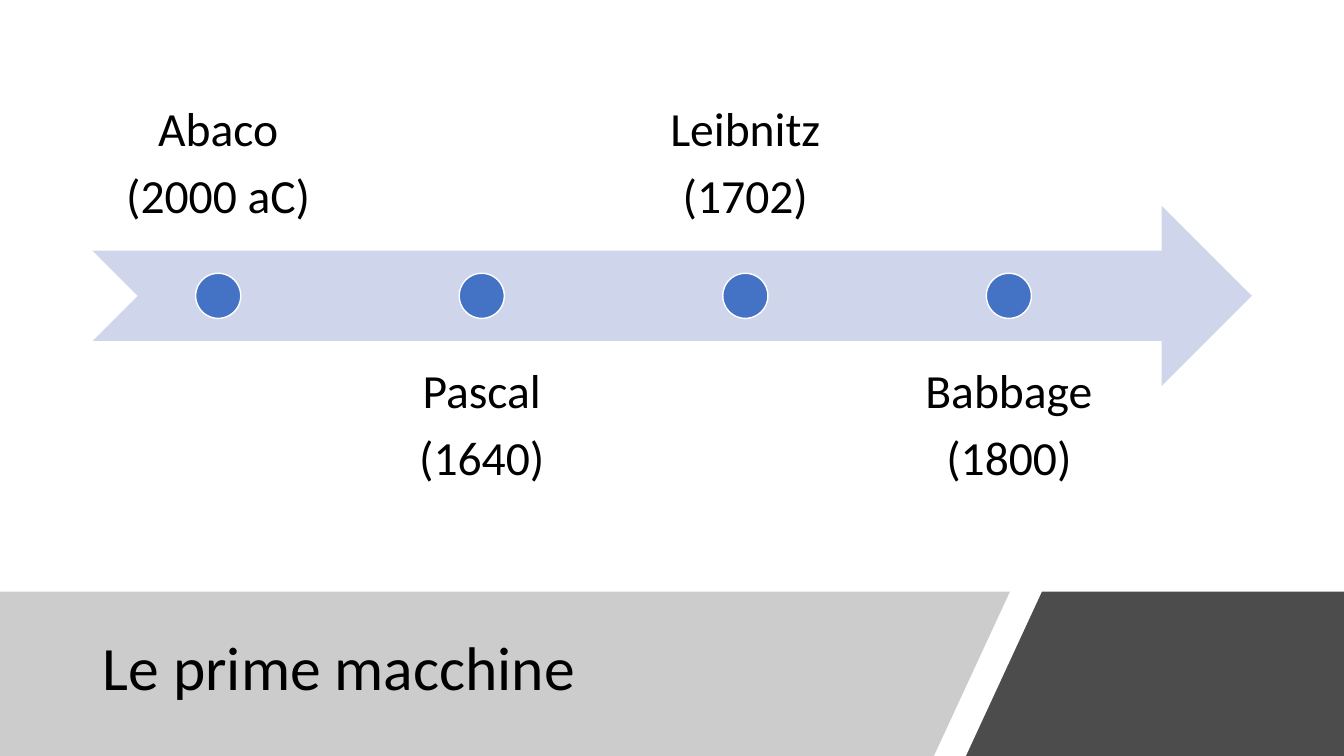
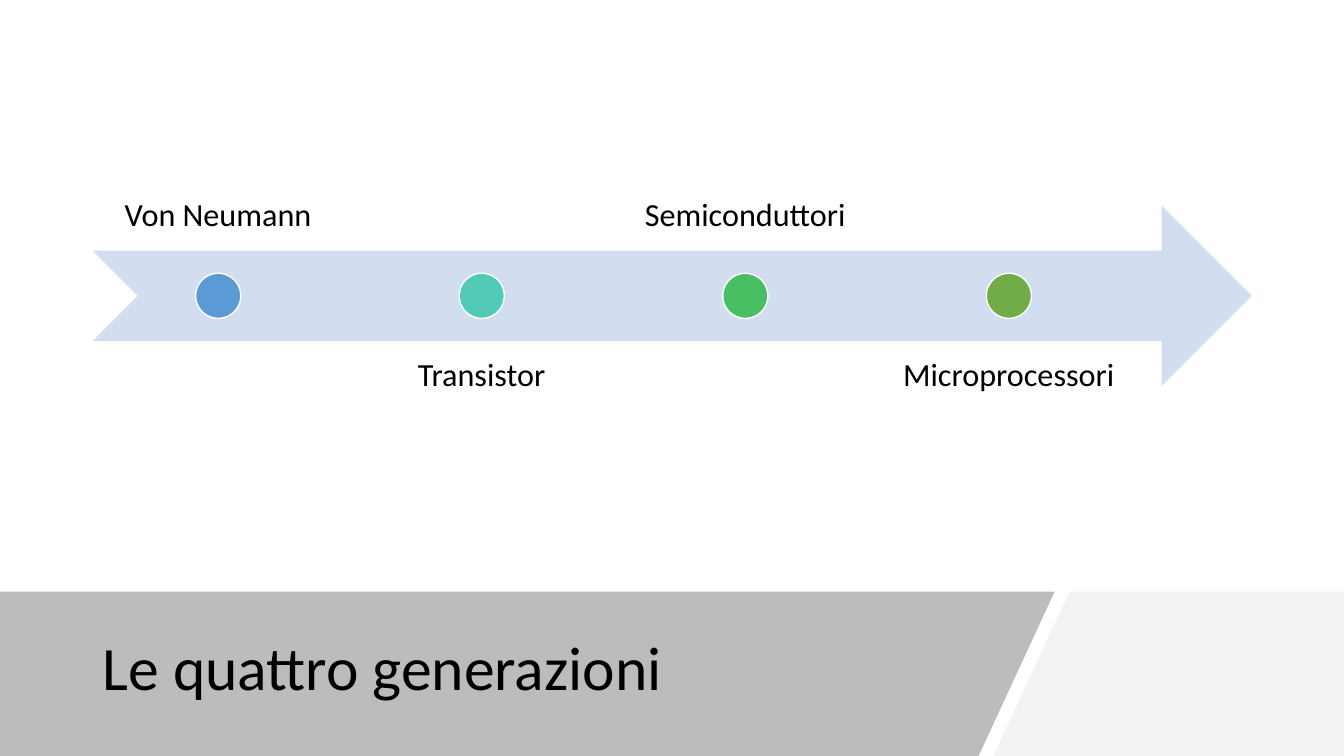
from lxml import etree
from pptx import Presentation
from pptx.dml.color import RGBColor
from pptx.enum import shapes, text
from pptx.oxml.ns import qn
from pptx.util import Pt

BLACK = RGBColor(0x00, 0x00, 0x00)
WHITE = RGBColor(0xFF, 0xFF, 0xFF)
GRAY = RGBColor(0x80, 0x80, 0x80)
DARK_GRAY = RGBColor(0x59, 0x59, 0x59)
PALE_GRAY = RGBColor(0xF2, 0xF2, 0xF2)
LAVENDER = RGBColor(0xCF, 0xD5, 0xEA)
PALE_BLUE = RGBColor(0xD2, 0xDE, 0xEF)
BLUE = RGBColor(0x44, 0x72, 0xC4)
SKY = RGBColor(0x5B, 0x9B, 0xD5)
TEAL = RGBColor(0x52, 0xCA, 0xB8)
GREEN = RGBColor(0x49, 0xBF, 0x64)
OLIVE = RGBColor(0x70, 0xAD, 0x47)


class Deck:
    font = "Calibri"
    width, height = 960, 540
    band_top, slant = 422.6, 54.3
    left, arrow_width = 66.2, 828
    lane = 128.9
    middle = 211.3
    label_width = 179.3
    pitch = label_width * 1.05
    dot = lane / 4

    def __init__(self):
        self.prs = Presentation()
        self.prs.slide_width = Pt(self.width)
        self.prs.slide_height = Pt(self.height)
        self.s = None

    def new_slide(self):
        self.s = self.prs.slides.add_slide(self.prs.slide_layouts[5])

    def paint(self, sp, fill, line=None, opacity=100):
        sp.shadow.inherit = False
        sp.fill.solid()
        sp.fill.fore_color.rgb = fill
        if opacity < 100:
            clr = sp.element.find(".//" + qn("a:srgbClr"))
            etree.SubElement(clr, qn("a:alpha"), val=str(opacity * 1000))
        if line is None:
            sp.line.fill.background()
        else:
            sp.line.color.rgb = line
            sp.line.width = Pt(1)

    def band(self, points, fill, opacity):
        corners = [(Pt(x), Pt(y)) for x, y in points]
        outline = self.s.shapes.build_freeform(*corners[0])
        outline.add_line_segments(corners[1:], close=True)
        self.paint(outline.convert_to_shape(), fill, opacity=opacity)

    def left_band(self, right, fill, opacity):
        self.band([(0, self.band_top), (right, self.band_top),
                   (right - self.slant, self.height), (0, self.height)],
                  fill, opacity)

    def right_band(self, left, fill, opacity):
        self.band([(left, self.band_top), (self.width, self.band_top),
                   (self.width, self.height), (left - self.slant, self.height)],
                  fill, opacity)

    def title(self, words, width):
        sp = self.s.shapes.title
        self.s.shapes.element.append(sp.element)
        sp.left, sp.top = Pt(self.left), Pt(435.6)
        sp.width, sp.height = Pt(width), Pt(86.4)
        tf = sp.text_frame
        tf.text = words
        tf.vertical_anchor = text.MSO_ANCHOR.MIDDLE
        self.style(tf.paragraphs[0], 44, text.PP_ALIGN.LEFT)

    def style(self, p, size, align):
        p.alignment = align
        p.line_spacing = 0.9
        p.font.name = self.font
        p.font.size = Pt(size)
        p.font.color.rgb = BLACK

    def preset(self, kind, x, y, w, h, fill, line=None):
        sp = self.s.shapes.add_shape(kind, Pt(x), Pt(y), Pt(w), Pt(h))
        self.paint(sp, fill, line)

    def label(self, x, lines, size, above):
        gap = self.dot
        top = self.middle - gap - self.lane if above else self.middle + gap
        sp = self.s.shapes.add_textbox(Pt(x), Pt(top), Pt(self.label_width), Pt(self.lane))
        tf = sp.text_frame
        tf.word_wrap = True
        tf.vertical_anchor = text.MSO_ANCHOR.BOTTOM if above else text.MSO_ANCHOR.TOP
        inset = Pt(size * 0.56)
        tf.margin_left = tf.margin_right = tf.margin_top = tf.margin_bottom = inset
        tf.text = "\n".join(lines)
        for i, p in enumerate(tf.paragraphs):
            self.style(p, size, text.PP_ALIGN.CENTER)
            if i:
                p.space_before = Pt(size / 3)

    def timeline(self, arrow_fill, size, events):
        self.preset(shapes.MSO_SHAPE.NOTCHED_RIGHT_ARROW, self.left,
                    self.middle - self.lane / 2, self.arrow_width, self.lane, arrow_fill)
        for i, (lines, fill) in enumerate(events):
            x = self.left + i * self.pitch
            self.label(x, lines, size, above=i % 2 == 0)
            self.preset(shapes.MSO_SHAPE.OVAL, x + (self.label_width - self.dot) / 2,
                        self.middle - self.dot / 2, self.dot, self.dot, fill, WHITE)


def main():
    deck = Deck()

    deck.new_slide()
    deck.left_band(721.4, GRAY, 40)
    deck.right_band(744.3, BLACK, 70)
    deck.title("Le prime macchine", 607.7)
    deck.timeline(LAVENDER, 34, [
        (["Abaco", "(2000 aC)"], BLUE),
        (["Pascal", "(1640)"], BLUE),
        (["Leibnitz", "(1702)"], BLUE),
        (["Babbage", "(1800)"], BLUE),
    ])

    deck.new_slide()
    deck.right_band(764, PALE_GRAY, 100)
    deck.left_band(753.3, DARK_GRAY, 40)
    deck.title("Le quattro generazioni", 635.8)
    deck.timeline(PALE_BLUE, 23, [
        (["Von Neumann"], SKY),
        (["Transistor"], TEAL),
        (["Semiconduttori"], GREEN),
        (["Microprocessori"], OLIVE),
    ])

    deck.prs.save("out.pptx")


if __name__ == "__main__":
    main()
